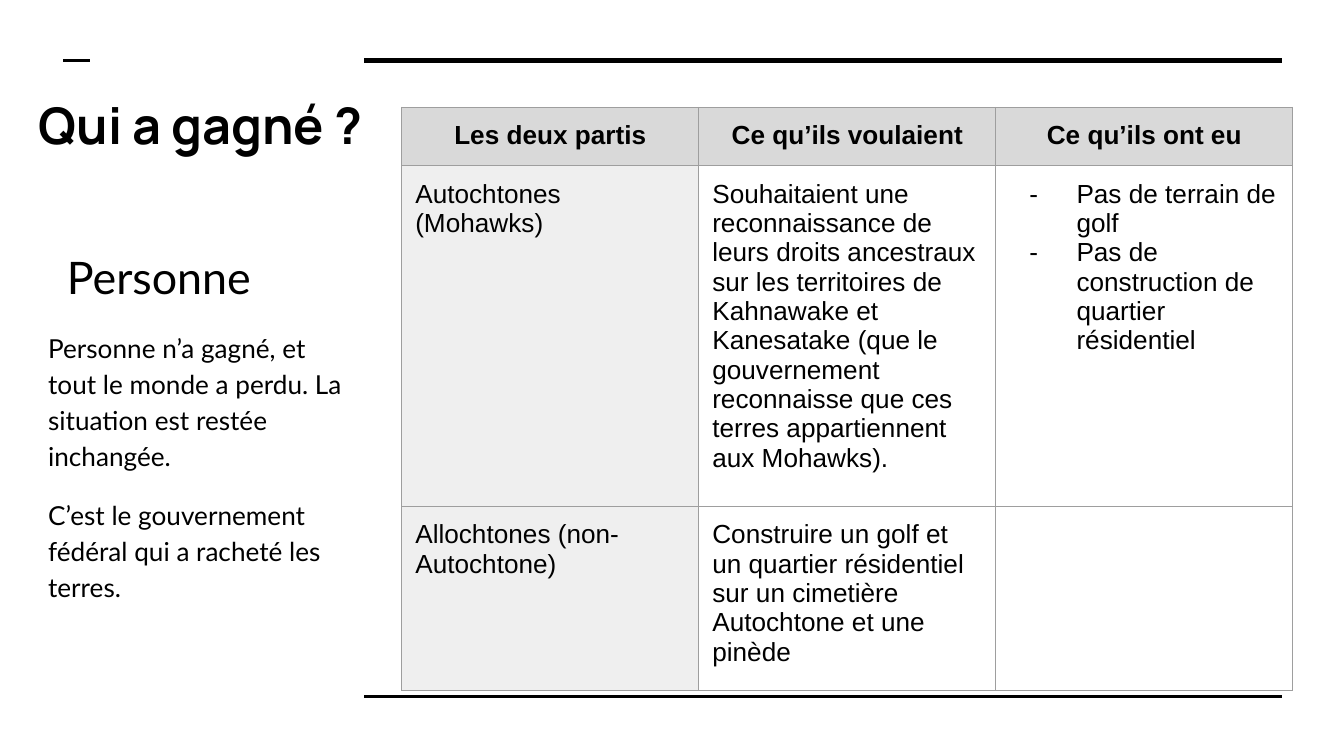
from dataclasses import dataclass

from lxml import etree
from pptx import Presentation
from pptx import util as u
from pptx.dml.color import RGBColor
from pptx.enum import shapes, text
from pptx.oxml.ns import qn


@dataclass(frozen=True)
class Theme:
    ink: str = "000000"
    border: str = "9E9E9E"
    header_fill: str = "D9D9D9"
    party_fill: str = "EFEFEF"
    title_font: str = "Manrope"
    body_font: str = "Lato"
    table_font: str = "Arial"
    title_size: int = 27
    answer_size: int = 24
    body_size: int = 14


THEME = Theme()

# Each cell is a list of paragraphs.
ROWS = [
    [["Les deux partis"], ["Ce qu’ils voulaient"], ["Ce qu’ils ont eu"]],
    [["Autochtones (Mohawks)"],
     ["Souhaitaient une reconnaissance de leurs droits ancestraux sur les "
      "territoires de Kahnawake et Kanesatake (que le gouvernement reconnaisse "
      "que ces terres appartiennent aux Mohawks)."],
     ["Pas de terrain de golf", "Pas de construction de quartier résidentiel"]],
    [["Allochtones (non-Autochtone)"],
     ["Construire un golf et un quartier résidentiel sur un cimetière "
      "Autochtone et une pinède"],
     []],
]
MIN_ROW_HEIGHT = 0.42  # rows grow with their text
COLUMN_WIDTH = 2.21
OUTCOME_COLUMN = 2


def style_font(font, name, size, bold=False):
    font.name = name
    font.size = u.Pt(size)
    font.bold = bold
    font.color.rgb = RGBColor.from_string(THEME.ink)


def add_rule(slide, left, right, y, weight):
    rule = slide.shapes.add_connector(
        shapes.MSO_CONNECTOR.STRAIGHT,
        u.Inches(left), u.Inches(y), u.Inches(right), u.Inches(y))
    rule.line.color.rgb = RGBColor.from_string(THEME.ink)
    rule.line.width = u.Pt(weight)
    etree.SubElement(rule._element.spPr, qn("a:effectLst"))


def add_text(slide, box, paragraphs, font, size, bold=False, spacing=None):
    frame = slide.shapes.add_textbox(*map(u.Inches, box)).text_frame
    frame.word_wrap = True
    frame.margin_left = frame.margin_right = u.Inches(0.1)
    frame.margin_top = frame.margin_bottom = u.Inches(0.1)
    frame.text = "\n".join(paragraphs)
    for index, paragraph in enumerate(frame.paragraphs):
        paragraph.line_spacing = spacing
        if index:
            paragraph.space_before = u.Pt(12)
        style_font(paragraph.font, font, size, bold)


def add_dash(paragraph):
    """Give the paragraph a hanging dash bullet."""
    properties = paragraph._p.get_or_add_pPr()
    properties.set("marL", str(u.Inches(0.5)))
    properties.set("indent", str(u.Inches(-0.35)))
    color = etree.SubElement(properties, qn("a:buClr"))
    etree.SubElement(color, qn("a:srgbClr"), val=THEME.ink)
    etree.SubElement(properties, qn("a:buSzPts"), val=str(THEME.body_size * 100))
    etree.SubElement(properties, qn("a:buFont"), typeface=THEME.table_font)
    etree.SubElement(properties, qn("a:buChar"), char="-")


def add_borders(cell):
    properties = cell._tc.get_or_add_tcPr()
    for side in ("lnL", "lnR", "lnT", "lnB"):
        line = etree.SubElement(properties, qn(f"a:{side}"), w=str(u.Pt(0.75)))
        fill = etree.SubElement(line, qn("a:solidFill"))
        etree.SubElement(fill, qn("a:srgbClr"), val=THEME.border)


def fill_cell(cell, paragraphs, row, column):
    add_borders(cell)
    if row == 0 or column == 0:
        cell.fill.solid()
        cell.fill.fore_color.rgb = RGBColor.from_string(
            THEME.header_fill if row == 0 else THEME.party_fill)
    else:
        cell.fill.background()
    cell.margin_left = cell.margin_right = u.Inches(0.1)
    cell.margin_top = cell.margin_bottom = u.Inches(0.1)
    cell.text = "\n".join(paragraphs)
    for paragraph in cell.text_frame.paragraphs:
        if row == 0:
            paragraph.alignment = text.PP_ALIGN.CENTER
        elif column == OUTCOME_COLUMN and paragraphs:
            add_dash(paragraph)
        style_font(paragraph.font, THEME.table_font, THEME.body_size, row == 0)


def add_parties_table(slide, left, top):
    columns = len(ROWS[0])
    table = slide.shapes.add_table(
        len(ROWS), columns, u.Inches(left), u.Inches(top),
        u.Inches(COLUMN_WIDTH * columns),
        u.Inches(MIN_ROW_HEIGHT * len(ROWS))).table
    table.first_row = table.horz_banding = False
    for column in table.columns:
        column.width = u.Inches(COLUMN_WIDTH)
    for row, contents in enumerate(ROWS):
        table.rows[row].height = u.Inches(MIN_ROW_HEIGHT)
        for column, paragraphs in enumerate(contents):
            fill_cell(table.cell(row, column), paragraphs, row, column)


def main():
    deck = Presentation()
    deck.slide_width = u.Inches(10)
    deck.slide_height = deck.slide_width * 9 // 16
    slide = deck.slides.add_slide(deck.slide_layouts[6])

    add_rule(slide, 2.71, 9.54, 0.45, 3)
    add_rule(slide, 2.71, 9.54, 5.18, 1.5)
    add_rule(slide, 0.47, 0.67, 0.45, 1.5)

    add_text(slide, (0.19, 0.6, 9.35, 0.69), ["Qui a gagné ?"],
             THEME.title_font, THEME.title_size, bold=True)
    add_text(slide, (0.4, 1.7, 3.36, 3.28), ["Personne"],
             THEME.body_font, THEME.answer_size, spacing=1.15)
    add_text(slide, (0.26, 2.34, 2.43, 3.28),
             ["Personne n’a gagné, et tout le monde a perdu. La situation est "
              "restée inchangée.",
              "C’est le gouvernement fédéral qui a racheté les terres."],
             THEME.body_font, THEME.body_size, spacing=1.15)
    add_parties_table(slide, 2.99, 0.8)

    deck.save("out.pptx")


if __name__ == "__main__":
    main()
